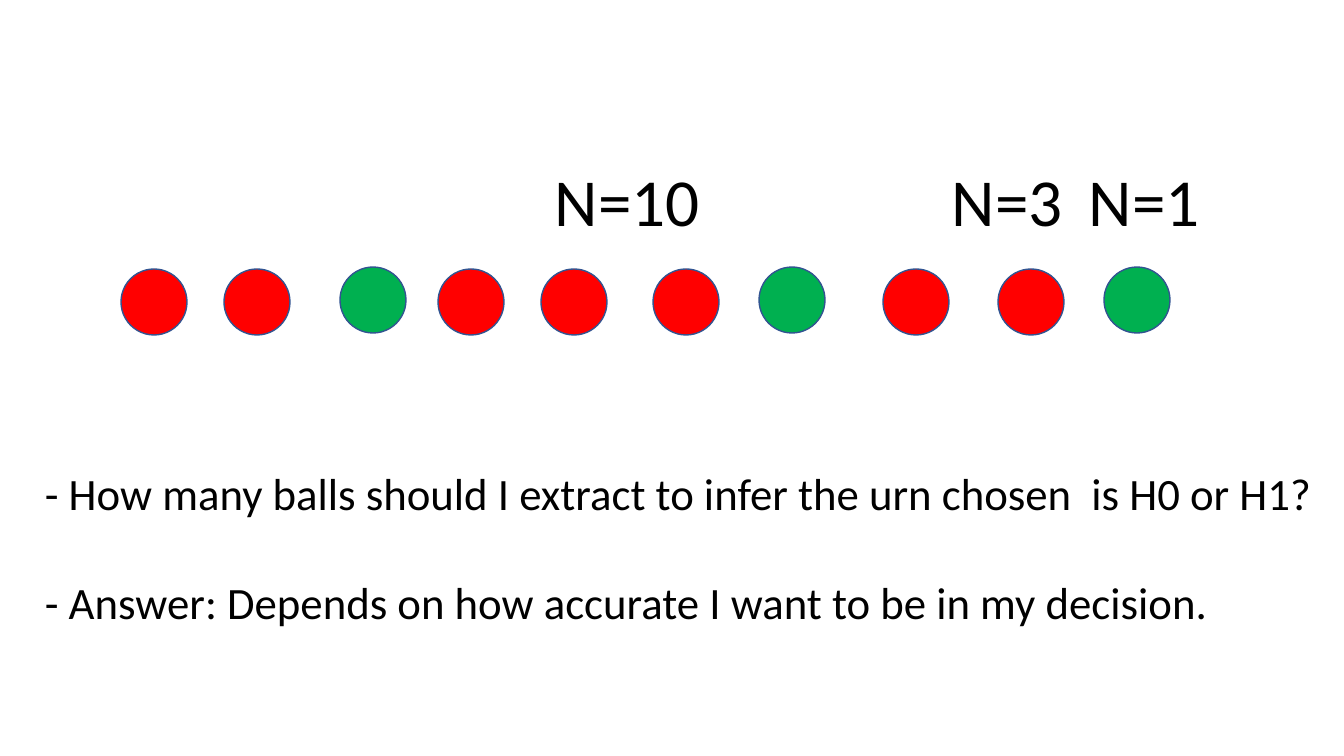
from dataclasses import dataclass

from pptx import Presentation
from pptx import util as u
from pptx.dml.color import RGBColor
from pptx.enum import shapes, text

PX = 914400 / 100.8
SLIDE_WIDTH, SLIDE_HEIGHT = 1344, 756

# Colour and left edge of each ball
BALLS = [
    ("red", 121), ("red", 224), ("green", 340), ("red", 438), ("red", 541),
    ("red", 653), ("green", 759), ("red", 883), ("red", 998), ("green", 1104),
]
BALL_SIZE = 66
BALL_TOP = {"red": 269, "green": 267}

# Text and left edge of each sample size
SAMPLE_SIZES = [("N=10", 545), ("N=3", 942), ("N=1", 1079)]
SAMPLE_TOP, SAMPLE_WIDTH, SAMPLE_HEIGHT = 154, 188, 92

DISCUSSION = [
    "- How many balls should I extract to infer the urn chosen  is H0 or H1?",
    "- Answer: Depends on how accurate I want to be in my decision.",
]
DISCUSSION_BOX = (35, 461, 1290, 173)


@dataclass(frozen=True)
class Theme:
    font: str = "Calibri"
    text: str = "000000"
    red: str = "FF0000"
    green: str = "00B050"
    outline: str = "325491"
    label_size: int = 48
    body_size: int = 32
    body_gap: int = 39
    outline_width: int = 1


THEME = Theme()


def emu(*lengths):
    return [round(length * PX) for length in lengths]


def add_ball(slide, colour, left):
    box = emu(left, BALL_TOP[colour], BALL_SIZE, BALL_SIZE)
    ball = slide.shapes.add_shape(shapes.MSO_SHAPE.OVAL, *box)
    ball.shadow.inherit = False
    ball.fill.solid()
    ball.fill.fore_color.rgb = RGBColor.from_string(getattr(THEME, colour))
    ball.line.color.rgb = RGBColor.from_string(THEME.outline)
    ball.line.width = u.Pt(THEME.outline_width)


def add_text(slide, lines, box, size):
    """Add a wrapping text box with one paragraph per line."""
    frame = slide.shapes.add_textbox(*emu(*box)).text_frame
    frame.word_wrap = True
    frame.auto_size = text.MSO_AUTO_SIZE.SHAPE_TO_FIT_TEXT
    for index, line in enumerate(lines):
        paragraph = frame.add_paragraph() if index else frame.paragraphs[0]
        paragraph.text = line
        if index:
            paragraph.space_before = u.Pt(THEME.body_gap)
        paragraph.font.name = THEME.font
        paragraph.font.size = u.Pt(size)
        paragraph.font.color.rgb = RGBColor.from_string(THEME.text)


def main():
    presentation = Presentation()
    presentation.slide_width, presentation.slide_height = emu(SLIDE_WIDTH, SLIDE_HEIGHT)
    slide = presentation.slides.add_slide(presentation.slide_layouts[6])
    for colour, left in BALLS:
        add_ball(slide, colour, left)
    add_text(slide, DISCUSSION, DISCUSSION_BOX, THEME.body_size)
    for label, left in SAMPLE_SIZES:
        box = (left, SAMPLE_TOP, SAMPLE_WIDTH, SAMPLE_HEIGHT)
        add_text(slide, [label], box, THEME.label_size)
    presentation.save("out.pptx")


if __name__ == "__main__":
    main()
